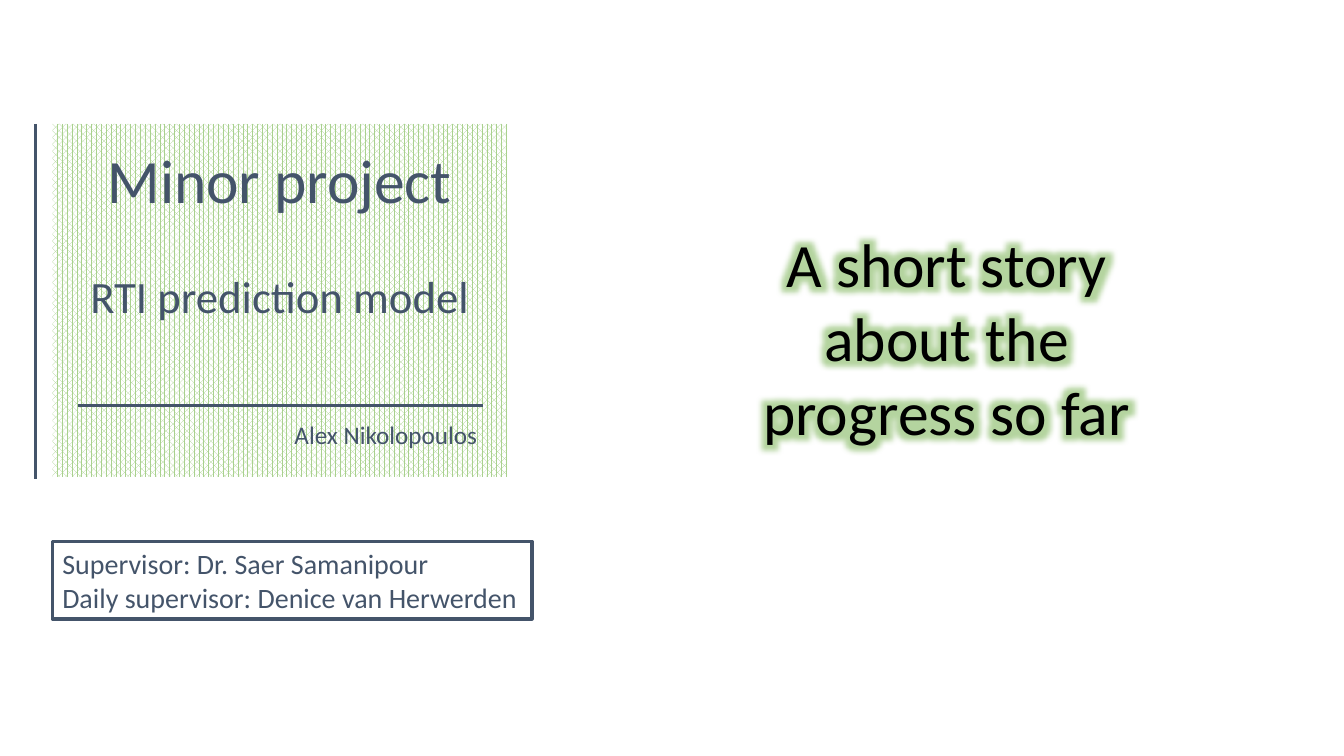
from lxml.etree import SubElement
from pptx import Presentation
from pptx.dml.color import RGBColor
from pptx.enum.dml import MSO_PATTERN
from pptx.enum.shapes import MSO_CONNECTOR, MSO_SHAPE
from pptx.enum.text import MSO_ANCHOR, MSO_AUTO_SIZE, PP_ALIGN
from pptx.oxml.ns import qn
from pptx.util import Cm, Pt

SLATE = RGBColor(0x44, 0x54, 0x6A)
LEAF = RGBColor(0xA9, 0xD1, 0x8E)
GLOW = RGBColor(0x70, 0xAD, 0x47)
WHITE = RGBColor(0xFF, 0xFF, 0xFF)
BLACK = RGBColor(0x00, 0x00, 0x00)
FONT = "Calibri"


def place(shape, left, top, width, height):
    shape.left, shape.top = Cm(left), Cm(top)
    shape.width, shape.height = Cm(width), Cm(height)


def write(shape, lines, size, color=SLATE, alignment=PP_ALIGN.CENTER,
          anchor=MSO_ANCHOR.TOP, inset=0.13):
    frame = shape.text_frame
    frame.word_wrap = True
    frame.auto_size = MSO_AUTO_SIZE.NONE
    frame.vertical_anchor = anchor
    frame.margin_top = frame.margin_bottom = Cm(inset)
    for index, line in enumerate(lines):
        paragraph = frame.add_paragraph() if index else frame.paragraphs[0]
        paragraph.alignment = alignment
        paragraph.space_before = Pt(0)
        run = paragraph.add_run()
        run.text = line
        run.font.name = FONT
        run.font.size = Pt(size)
        run.font.color.rgb = color
    return frame


def add_rule(slide, left, top, right, bottom):
    connector = slide.shapes.add_connector(
        MSO_CONNECTOR.STRAIGHT, Cm(left), Cm(top), Cm(right), Cm(bottom))
    connector.line.color.rgb = SLATE
    connector.line.width = Pt(2.25)
    SubElement(connector.element.spPr, qn("a:effectLst"))


def add_text_box(slide, left, top, width, height):
    return slide.shapes.add_textbox(Cm(left), Cm(top), Cm(width), Cm(height))


def add_glow(run, color, radius, opacity):
    properties = run.font.fill._xPr
    effects = SubElement(properties, qn("a:effectLst"))
    properties.find(qn("a:solidFill")).addnext(effects)
    glow = SubElement(effects, qn("a:glow"), rad=str(radius))
    shade = SubElement(glow, qn("a:srgbClr"), val=str(color))
    SubElement(shade, qn("a:alpha"), val=str(opacity * 1000))


def build_title_panel(slide, left, top, width, height):
    title = slide.shapes.title
    place(title, left, top, width, height)
    title.fill.patterned()
    title.fill.pattern = MSO_PATTERN.PERCENT_70
    title.fill.fore_color.rgb = LEAF
    title.fill.back_color.rgb = WHITE
    write(title, ["Minor project"], 44, inset=0.46)

    subtitle = slide.placeholders[1]
    place(subtitle, left, top + 3.66, width, 1.4)
    write(subtitle, ["RTI prediction model"], 32, inset=0)

    add_rule(slide, left - 0.43, top, left - 0.43, top + height + 0.05)
    divider = top + 7.09
    add_rule(slide, left + 0.64, divider, left + width - 0.61, divider)
    author = add_text_box(slide, left + 4.9, divider + 0.23, 7.01, 1.02)
    write(author, ["Alex Nikolopoulos"], 18)


def build_supervisors(slide, left, top, width, height):
    box = slide.shapes.add_shape(
        MSO_SHAPE.RECTANGLE, Cm(left), Cm(top), Cm(width), Cm(height))
    box.shadow.inherit = False
    box.fill.solid()
    box.fill.fore_color.rgb = WHITE
    box.line.color.rgb = SLATE
    box.line.width = Pt(2.25)
    write(box, ["Supervisor: Dr. Saer Samanipour",
                "Daily supervisor: Denice van Herwerden"],
          20, alignment=PP_ALIGN.JUSTIFY)


def build_story(slide, left, top, width, height):
    story = add_text_box(slide, left, top, width, height)
    frame = write(story, ["A short story about the progress so far"], 44, BLACK)
    add_glow(frame.paragraphs[0].runs[0], GLOW, Pt(18), 52)


def main():
    presentation = Presentation()
    presentation.slide_width = Cm(33.87)
    presentation.slide_height = Cm(19.05)
    slide = presentation.slides.add_slide(presentation.slide_layouts[0])
    build_title_panel(slide, 1.32, 3.12, 11.46, 8.89)
    build_supervisors(slide, 1.32, 13.64, 12.09, 1.96)
    build_story(slide, 18.36, 5.56, 11, 5.89)
    presentation.save("out.pptx")


if __name__ == "__main__":
    main()
